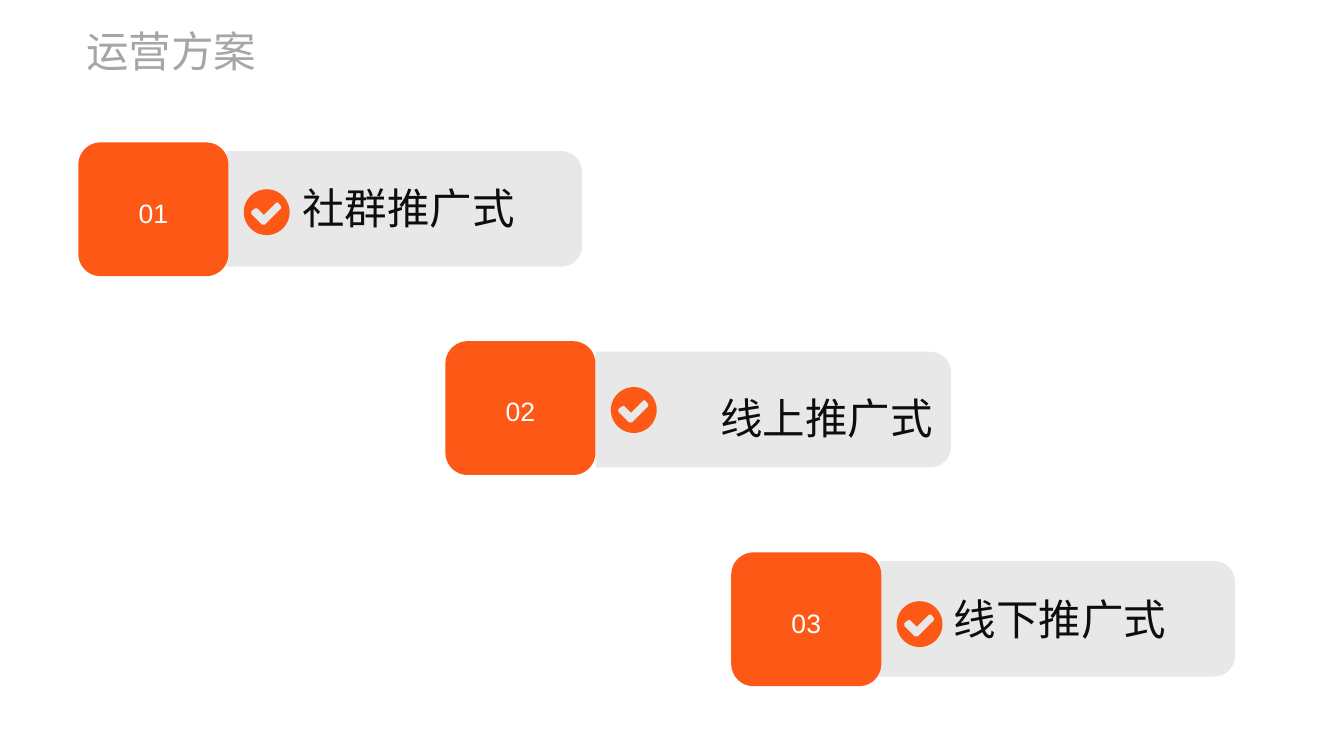
from pptx import Presentation
from pptx.dml.color import RGBColor
from pptx.enum import shapes, text
from pptx.util import Inches, Pt

ORANGE = RGBColor(0xFE, 0x58, 0x17)
PANEL_GREY = RGBColor(0xE8, 0xE8, 0xE8)
TITLE_GREY = RGBColor(0xA6, 0xA6, 0xA6)
INK = RGBColor(0x0D, 0x0D, 0x0D)
WHITE = RGBColor(0xFF, 0xFF, 0xFF)
FONT = "Arial"

TITLE = "运营方案"
LEFT, RIGHT, CENTER = text.PP_ALIGN.LEFT, text.PP_ALIGN.RIGHT, text.PP_ALIGN.CENTER

# number, label, label alignment, badge corner, then offsets from that corner:
# panel, tick, label
STEPS = [
    ("01", "社群推广式", LEFT, (0.82, 1.49), (1.55, 0.09), (1.73, 0.49), (2.34, 0.31)),
    ("02", "线上推广式", RIGHT, (4.66, 3.57), (1.57, 0.11), (1.73, 0.48), (2.52, 0.43)),
    ("03", "线下推广式", LEFT, (7.65, 5.78), (1.55, 0.09), (1.73, 0.51), (2.33, 0.32)),
]
BADGE_SIZE = (1.57, 1.4)
PANEL_SIZE = (3.72, 1.21)
LABEL_SIZE = (2.58, 0.65)
TICK_SIZE = (0.48, 0.48)
TICK_OUTLINE = [
    (0.39, 0.18), (0.36, 0.14), (0.34, 0.14), (0.21, 0.27), (0.14, 0.2), (0.12, 0.2),
    (0.08, 0.23), (0.08, 0.26), (0.19, 0.37), (0.22, 0.37), (0.39, 0.2),
]


def write(shape, words, size, color, align=LEFT, anchor=text.MSO_ANCHOR.TOP,
          line_spacing=1.0, space_before=0):
    frame = shape.text_frame
    frame.word_wrap = True
    frame.vertical_anchor = anchor
    frame.margin_left = frame.margin_right = frame.margin_top = frame.margin_bottom = 0
    paragraph = frame.paragraphs[0]
    paragraph.alignment = align
    paragraph.line_spacing = line_spacing
    paragraph.space_before = Pt(space_before)
    run = paragraph.add_run()
    run.text = words
    run.font.name = FONT
    run.font.size = Pt(size)
    run.font.color.rgb = color


def paint(shape, color):
    shape.shadow.inherit = False
    shape.fill.solid()
    shape.fill.fore_color.rgb = color
    shape.line.fill.background()


def box(corner, size):
    return [Inches(length) for length in (*corner, *size)]


def add_filled(slide, kind, corner, size, color):
    shape = slide.shapes.add_shape(kind, *box(corner, size))
    paint(shape, color)
    return shape


def add_panel(slide, corner):
    """Bar with its two right corners rounded: a quarter-turned top-rounded shape."""
    width, height = PANEL_SIZE
    shift = (width - height) / 2
    panel = add_filled(slide, shapes.MSO_SHAPE.ROUND_2_SAME_RECTANGLE,
                       (corner[0] + shift, corner[1] - shift), (height, width), PANEL_GREY)
    panel.rotation = 90
    panel.adjustments[0] = 0.18


def add_tick(slide, corner):
    add_filled(slide, shapes.MSO_SHAPE.OVAL, corner, TICK_SIZE, ORANGE)
    points = [(Inches(corner[0] + x), Inches(corner[1] + y)) for x, y in TICK_OUTLINE]
    builder = slide.shapes.build_freeform(*points[0])
    builder.add_line_segments(points[1:], close=True)
    paint(builder.convert_to_shape(), PANEL_GREY)


def add_step(slide, number, label, align, corner, *offsets):
    panel_corner, tick_corner, label_corner = [
        (corner[0] + x, corner[1] + y) for x, y in offsets]
    add_panel(slide, panel_corner)
    label_box = slide.shapes.add_textbox(*box(label_corner, LABEL_SIZE))
    write(label_box, label, 32, INK, align=align, line_spacing=1.2, space_before=6.4)
    add_tick(slide, tick_corner)
    badge = add_filled(slide, shapes.MSO_SHAPE.ROUNDED_RECTANGLE, corner, BADGE_SIZE, ORANGE)
    write(badge, number, 20, WHITE, align=CENTER, anchor=text.MSO_ANCHOR.MIDDLE,
          line_spacing=1.2)


def main():
    presentation = Presentation()
    presentation.slide_width = Inches(14.06)
    presentation.slide_height = Inches(7.91)
    slide = presentation.slides.add_slide(presentation.slide_layouts[5])

    title = slide.shapes.title
    title.left, title.top, title.width, title.height = box((0.9, 0.26), (4.32, 0.54))
    write(title, TITLE, 32, TITLE_GREY, anchor=text.MSO_ANCHOR.MIDDLE)

    for step in STEPS:
        add_step(slide, *step)
    presentation.save("out.pptx")


if __name__ == "__main__":
    main()
